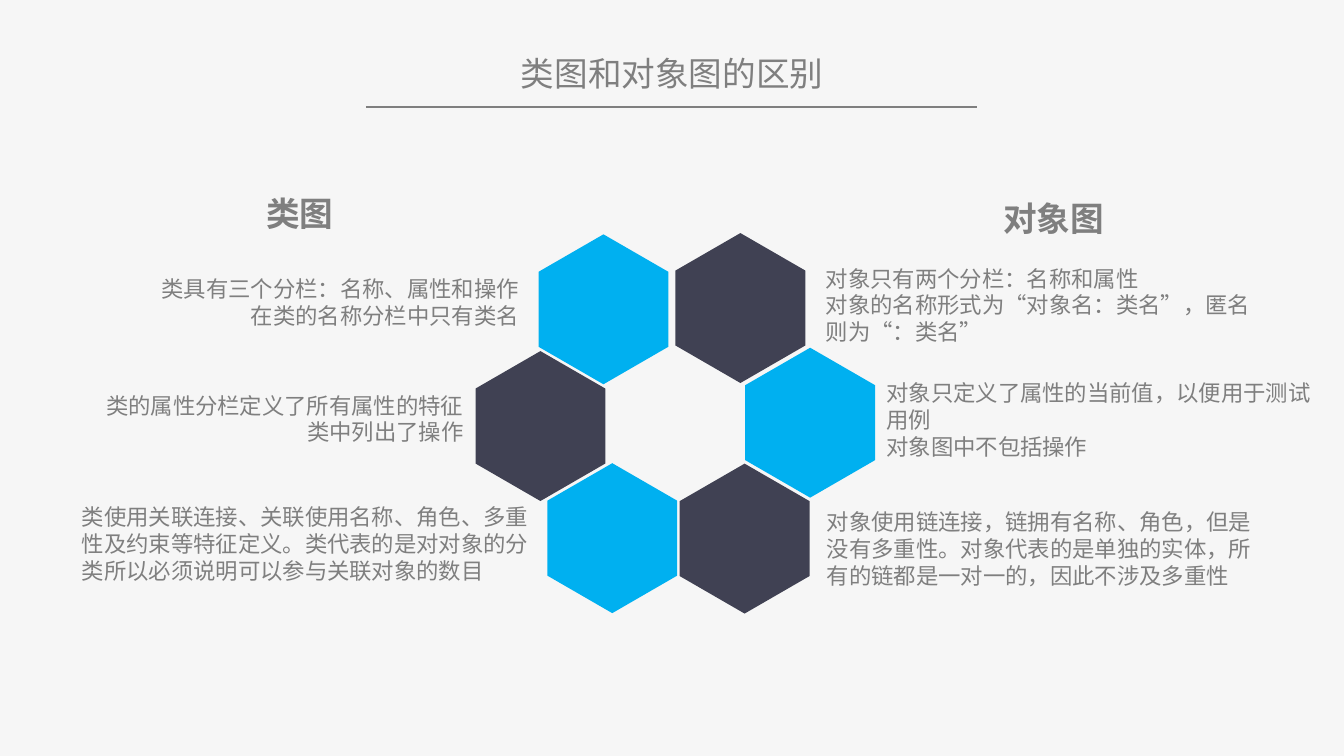
from dataclasses import dataclass

import pptx
import pptx.dml.color
import pptx.enum.shapes
import pptx.enum.text
import pptx.oxml.ns
import pptx.util
from lxml import etree

RGBColor = pptx.dml.color.RGBColor
PP_ALIGN = pptx.enum.text.PP_ALIGN

BACKGROUND = RGBColor(0xF6, 0xF6, 0xF6)
GREY = RGBColor(0x7F, 0x7F, 0x7F)
BLUE = RGBColor(0x00, 0xB0, 0xF0)
SLATE = RGBColor(0x40, 0x41, 0x53)
FONT = "Noto Sans CJK SC"

# Grid of 160 columns by 90 rows with square cells
WIDTH, HEIGHT = pptx.util.Inches(13.33), pptx.util.Inches(7.5)
CELL = HEIGHT / 90
HEX_W, HEX_H = 15.45, 17.85
TEXT_W, HEADING_W = 52.68, 30.84
INSET_X, INSET_Y = 0.86, 0.43


@dataclass
class Hexagon:
    col: float
    row: float
    color: RGBColor


@dataclass
class Label:
    col: float
    row: float
    width: float
    height: float
    lines: list[str]
    align: PP_ALIGN = PP_ALIGN.LEFT
    size: int = 16
    bold: bool = False
    inset: bool = True


HEXAGONS = [
    Hexagon(88.7, 41.4, BLUE),
    Hexagon(56.6, 41.8, SLATE),
    Hexagon(64.1, 27.9, BLUE),
    Hexagon(80.4, 27.75, SLATE),
    Hexagon(65.15, 55.15, BLUE),
    Hexagon(80.9, 55.2, SLATE),
]

LABELS = [
    Label(46.68, 6.36, 66.6, 4.8, ["类图和对象图的区别"],
          PP_ALIGN.CENTER, 24, inset=False),
    # Class diagram
    Label(9.72, 22.56, HEADING_W, 5.76, ["类图"], PP_ALIGN.RIGHT, 24, True),
    Label(9.96, 32.28, TEXT_W, 7.32,
          ["类具有三个分栏：名称、属性和操作", "在类的名称分栏中只有类名"], PP_ALIGN.RIGHT),
    Label(3.36, 46.2, TEXT_W, 7.32,
          ["类的属性分栏定义了所有属性的特征", "类中列出了操作"], PP_ALIGN.RIGHT),
    Label(8.88, 59.52, 55.92, 10.56,
          ["类使用关联连接、关联使用名称、角色、多重性及约束等特征定义。"
           "类代表的是对对象的分类所以必须说明可以参与关联对象的数目"]),
    # Object diagram
    Label(118.56, 23.16, HEADING_W, 5.76, ["对象图"], size=24, bold=True),
    Label(97.44, 31.08, TEXT_W, 10.56,
          ["对象只有两个分栏：名称和属性",
           "对象的名称形式为“对象名：类名”，匿名则为“：类名”"]),
    Label(104.64, 44.76, TEXT_W, 10.56,
          ["对象只定义了属性的当前值，以便用于测试用例", "对象图中不包括操作"]),
    Label(97.56, 60.12, TEXT_W, 10.56,
          ["对象使用链连接，链拥有名称、角色，但是没有多重性。"
           "对象代表的是单独的实体，所有的链都是一对一的，因此不涉及多重性"]),
]


def cells(n: float) -> pptx.util.Emu:
    return pptx.util.Emu(round(n * CELL))


def add_rule(s: pptx.slide.Slide, left: float, right: float, row: float) -> None:
    line = s.shapes.add_connector(
        pptx.enum.shapes.MSO_CONNECTOR.STRAIGHT,
        cells(left), cells(row), cells(right), cells(row))
    line.line.color.rgb = GREY
    line.line.width = pptx.util.Pt(1)
    etree.SubElement(line._element.spPr, pptx.oxml.ns.qn("a:effectLst"))


def add_hexagon(s: pptx.slide.Slide, h: Hexagon) -> None:
    left, middle, right = (cells(h.col + HEX_W * k) for k in (0, 0.5, 1))
    top, upper, lower, bottom = (cells(h.row + HEX_H * k) for k in (0, 0.25, 0.75, 1))
    builder = s.shapes.build_freeform(middle, top)
    builder.add_line_segments([(right, upper), (right, lower), (middle, bottom),
                               (left, lower), (left, upper)])
    sp = builder.convert_to_shape()
    sp.fill.solid()
    sp.fill.fore_color.rgb = h.color
    sp.line.fill.background()
    sp.shadow.inherit = False


def add_label(s: pptx.slide.Slide, label: Label) -> None:
    sp = s.shapes.add_textbox(cells(label.col), cells(label.row),
                              cells(label.width), cells(label.height))
    tf = sp.text_frame
    tf.word_wrap = True
    tf.auto_size = pptx.enum.text.MSO_AUTO_SIZE.SHAPE_TO_FIT_TEXT
    tf.margin_left = tf.margin_right = cells(INSET_X * label.inset)
    tf.margin_top = tf.margin_bottom = cells(INSET_Y * label.inset)
    tf.text = "\n".join(label.lines)
    for p in tf.paragraphs:
        p.alignment = label.align
        p.font.size = pptx.util.Pt(label.size)
        p.font.bold = label.bold
        p.font.color.rgb = GREY
        p.font.name = FONT
        # East Asian glyphs take their own typeface entry
        etree.SubElement(p.font._rPr, pptx.oxml.ns.qn("a:ea"), typeface=FONT)


def main() -> None:
    prs = pptx.Presentation()
    prs.slide_width, prs.slide_height = WIDTH, HEIGHT
    s = prs.slides.add_slide(prs.slide_layouts[6])
    s.background.fill.solid()
    s.background.fill.fore_color.rgb = BACKGROUND

    add_rule(s, 43.56, 116.28, 12.72)
    for hexagon in HEXAGONS:
        add_hexagon(s, hexagon)
    for label in LABELS:
        add_label(s, label)

    prs.save("out.pptx")


if __name__ == "__main__":
    main()
